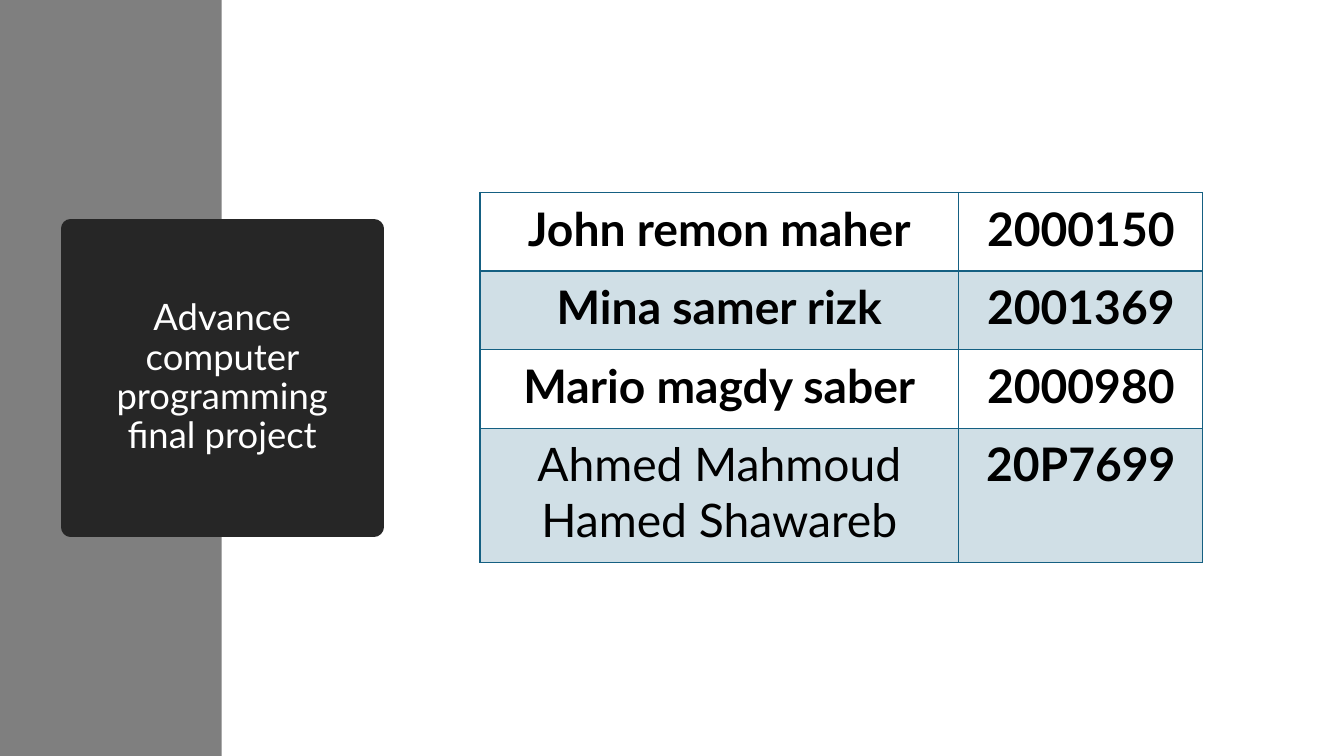
from dataclasses import dataclass

from lxml import etree
from pptx import Presentation
from pptx import util as u
from pptx.dml.color import RGBColor
from pptx.enum import shapes, text
from pptx.oxml import ns


@dataclass(frozen=True)
class Theme:
    font: str = "Lato"
    band: str = "7F7F7F"
    panel: str = "262626"
    light: str = "FFFFFF"
    dark: str = "000000"
    accent: str = "156082"
    tint: int = 20
    title_size: float = 26
    cell_size: float = 33


def write(frame, words, *, font, size, color, bold=False, spacing=1.0):
    para = frame.paragraphs[0]
    para.alignment = text.PP_ALIGN.CENTER
    para.line_spacing = spacing
    span = para.add_run()
    span.text = words
    span.font.name = font
    span.font.size = u.Pt(size)
    span.font.bold = bold
    span.font.color.rgb = RGBColor.from_string(color)


def add_xml(parent, tag, **attributes):
    return etree.SubElement(parent, ns.qn(tag), attributes)


class SlideBuilder:
    def __init__(self, page, theme):
        self.page = page
        self.theme = theme

    def rectangle(self, left, top, width, height, color, outline=0):
        box = self.page.shapes.add_shape(
            shapes.MSO_SHAPE.RECTANGLE,
            u.Inches(left), u.Inches(top), u.Inches(width), u.Inches(height))
        box.shadow.inherit = False
        box.fill.solid()
        box.fill.fore_color.rgb = RGBColor.from_string(color)
        if outline:
            box.line.color.rgb = RGBColor.from_string(color)
            box.line.width = u.Pt(outline)
            add_xml(box.line._get_or_add_ln(), "a:round")
        else:
            box.line.fill.background()
        return box

    def title_panel(self, left, top, width, height, words):
        box = self.rectangle(left, top, width, height, self.theme.panel, outline=13.75)
        frame = box.text_frame
        frame.word_wrap = True
        frame.vertical_anchor = text.MSO_ANCHOR.MIDDLE
        frame.margin_left = frame.margin_right = u.Inches(0.4)
        write(frame, words, font=self.theme.font, size=self.theme.title_size,
              color=self.theme.light, spacing=0.9)

    def border(self, cell, side, points):
        line = add_xml(cell._tc.get_or_add_tcPr(), f"a:ln{side}", w=str(u.Pt(points)))
        add_xml(add_xml(line, "a:solidFill"), "a:srgbClr", val=self.theme.accent)

    def table(self, left, top, widths, heights, rows):
        holder = self.page.shapes.add_table(
            len(heights), len(widths), u.Inches(left), u.Inches(top),
            u.Inches(sum(widths)), u.Inches(sum(heights)))
        grid = holder.table
        for column, width in zip(grid.columns, widths):
            column.width = u.Inches(width)
        for row, height in zip(grid.rows, heights):
            row.height = u.Inches(height)
        for r, members in enumerate(rows):
            for c, (words, bold) in enumerate(members):
                self.cell(grid.cell(r, c), r, words, bold)

    def cell(self, cell, row, words, bold):
        cell.margin_left = cell.margin_right = u.Inches(0.17)
        cell.margin_top = cell.margin_bottom = u.Inches(0.08)
        # The rule below the first row is heavier
        weights = {"L": 1, "R": 1, "T": 2 if row == 1 else 1, "B": 2 if row == 0 else 1}
        for side, points in weights.items():
            self.border(cell, side, points)
        # Every second row is tinted
        if row % 2:
            cell.fill.solid()
            cell.fill.fore_color.rgb = RGBColor.from_string(self.theme.accent)
            color = cell._tc.tcPr.find(ns.qn("a:solidFill"))[0]
            add_xml(color, "a:alpha", val=str(self.theme.tint * 1000))
        else:
            cell.fill.background()
        write(cell.text_frame, words, font=self.theme.font, size=self.theme.cell_size,
              color=self.theme.dark, bold=bold)


def main():
    deck = Presentation()
    deck.slide_width, deck.slide_height = u.Inches(13.33), u.Inches(7.5)
    theme = Theme()
    builder = SlideBuilder(deck.slides.add_slide(deck.slide_layouts[6]), theme)

    # Side band and title
    builder.rectangle(0, 0, 2.2, 7.5, theme.band)
    builder.title_panel(0.7, 2.27, 3.01, 2.96, "Advance computer programming final project")

    # Team members and their numbers
    members = [
        [("John remon maher", True), ("2000150", True)],
        [("Mina samer rizk", True), ("2001369", True)],
        [("Mario magdy saber", True), ("2000980", True)],
        [("Ahmed Mahmoud Hamed Shawareb", False), ("20P7699", True)],
    ]
    builder.table(4.76, 1.91, [4.75, 2.42], [0.78, 0.78, 0.78, 1.33], members)

    deck.save("out.pptx")


if __name__ == "__main__":
    main()
